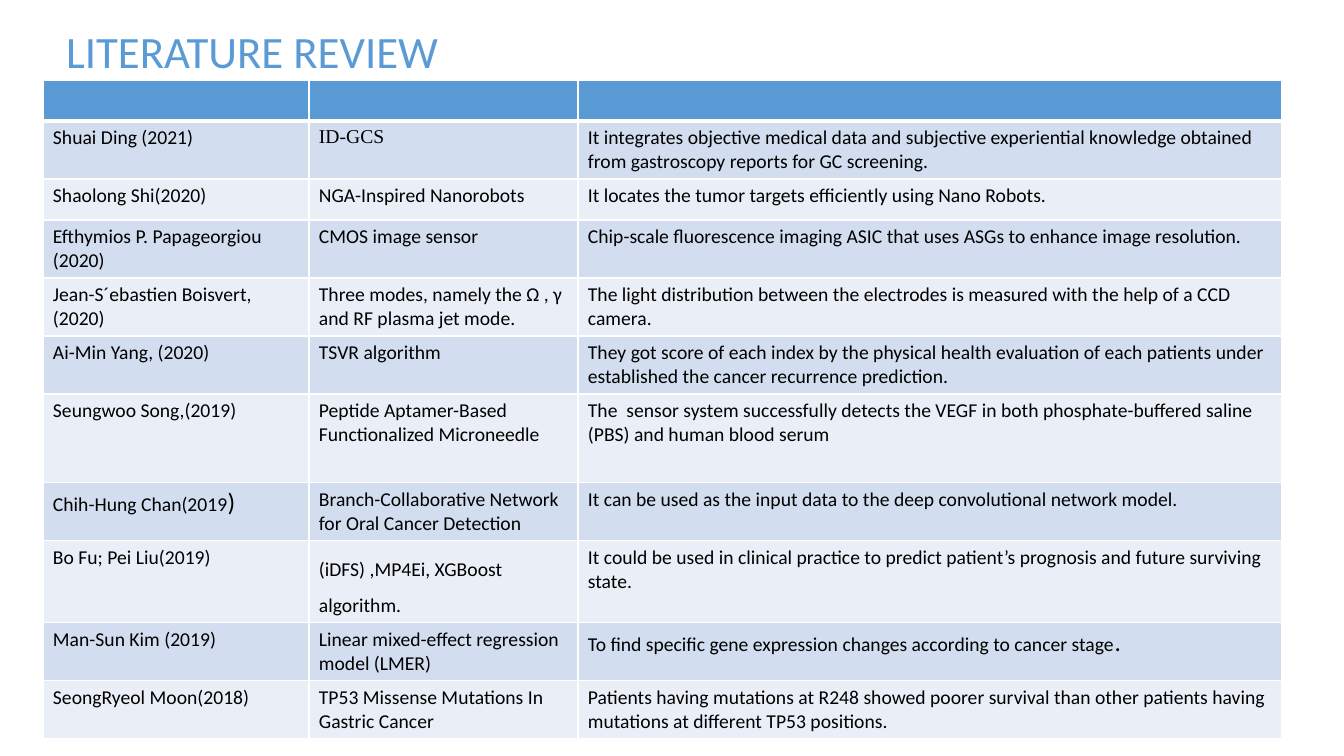
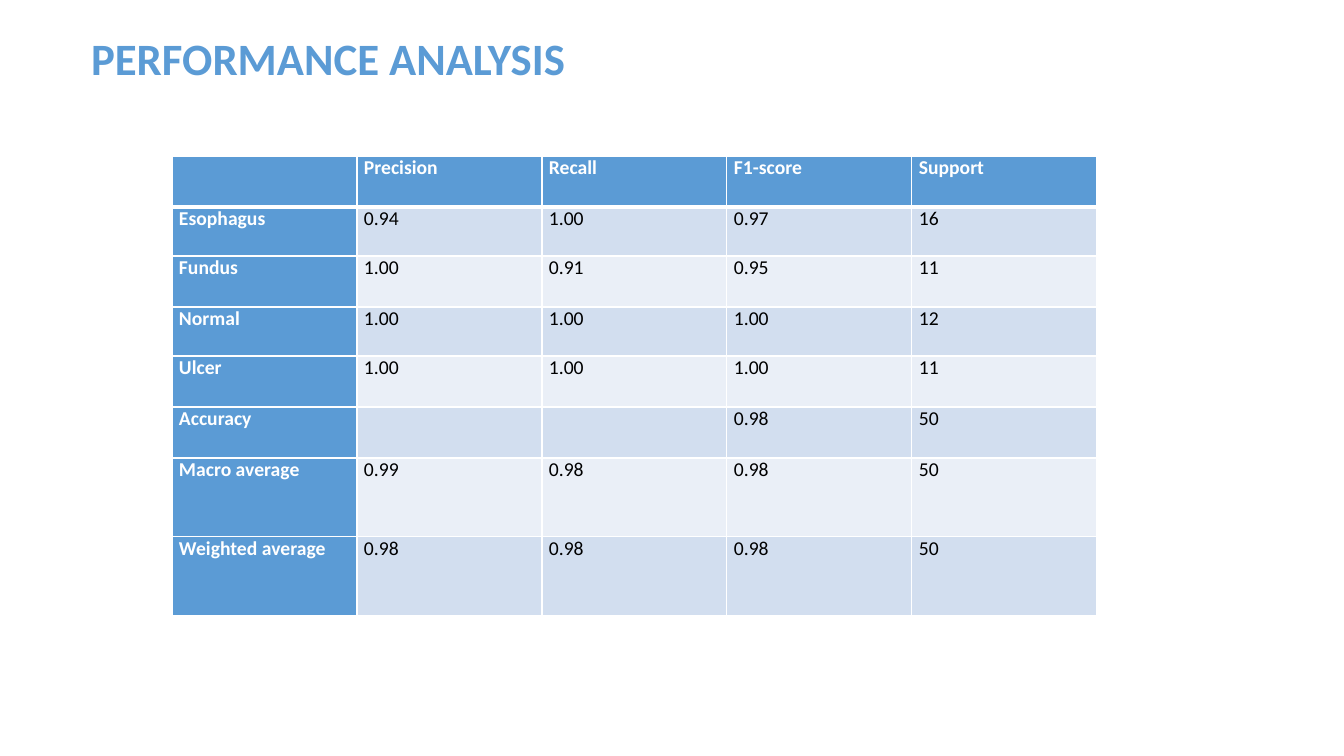
from dataclasses import dataclass

from lxml.etree import SubElement
from pptx import Presentation
from pptx.dml.color import RGBColor
from pptx.enum.text import MSO_ANCHOR, MSO_AUTO_SIZE, PP_ALIGN
from pptx.oxml.ns import qn
from pptx.util import Pt

PX = 914400 / 100.8


@dataclass(frozen=True)
class Theme:
    accent: str = "5B9BD5"
    bands: tuple = ("D2DEEF", "EAEFF7")
    ink: str = "000000"
    paper: str = "FFFFFF"
    font: str = "Calibri"
    serif: str = "Times New Roman"
    title_size: int = 32
    cell_size: int = 14
    mark_size: int = 18
    rule: int = 1
    header_rule: int = 3


THEME = Theme()
MARK = {"size": Pt(THEME.mark_size)}
SERIF = {"name": THEME.serif}

STUDIES = [
    ("", "", ""),
    ("Shuai Ding (2021)", [("ID-GCS", SERIF)],
     "It integrates objective medical data and subjective experiential knowledge obtained "
     "from gastroscopy reports for GC screening."),
    ("Shaolong Shi(2020)", "NGA-Inspired Nanorobots",
     "It locates the tumor targets efficiently using Nano Robots."),
    ("Efthymios P. Papageorgiou (2020)", "CMOS image sensor",
     "Chip-scale fluorescence imaging ASIC that uses ASGs to enhance image resolution."),
    ("Jean-S´ebastien Boisvert,(2020)",
     "Three modes, namely the Ω , γ and RF plasma jet mode.",
     "The light distribution between the electrodes is measured with the help of a CCD camera."),
    ("Ai-Min Yang, (2020)", "TSVR algorithm",
     "They got score of each index by the physical health evaluation of each patients under "
     "established the cancer recurrence prediction."),
    ("Seungwoo Song,(2019)", "Peptide Aptamer-Based Functionalized Microneedle",
     "The  sensor system successfully detects the VEGF in both phosphate-buffered saline "
     "(PBS) and human blood serum"),
    ([("Chih-Hung Chan(2019", {}), (")", MARK)],
     "Branch-Collaborative Network for Oral Cancer Detection",
     "It can be used as the input data to the deep convolutional network model."),
    ("Bo Fu; Pei Liu(2019)", "(iDFS) ,MP4Ei, XGBoost algorithm.",
     "It could be used in clinical practice to predict patient’s prognosis and future "
     "surviving state."),
    ("Man-Sun Kim (2019)", "Linear mixed-effect regression model (LMER)",
     [("To find specific gene expression changes according to cancer stage", {}), (".", MARK)]),
    ("SeongRyeol Moon(2018)", "TP53 Missense Mutations In Gastric Cancer",
     "Patients having mutations at R248 showed poorer survival than other patients having "
     "mutations at different TP53 positions."),
]

SCORES = [
    ("", "Precision", "Recall", "F1-score", "Support"),
    ("Esophagus", "0.94", "1.00", "0.97", "16"),
    ("Fundus", "1.00", "0.91", "0.95", "11"),
    ("Normal", "1.00", "1.00", "1.00", "12"),
    ("Ulcer", "1.00", "1.00", "1.00", "11"),
    ("Accuracy", "", "", "0.98", "50"),
    ("Macro average", "0.99", "0.98", "0.98", "50"),
    ("Weighted average", "0.98", "0.98", "0.98", "50"),
]

SLIDES = [
    {
        "title": "LITERATURE REVIEW", "title_box": (56, 19, 672, 65),
        "title_bold": False, "title_spacing": 1.0,
        "rows": STUDIES, "origin": (43, 80), "columns": (266, 269, 704),
        "heights": (41, 58, 41, 58, 58, 58, 89, 58, 82, 58, 58),
        "label_column": False, "margins": (10, 5), "spacing": {(8, 1): 1.5},
    },
    {
        "title": "PERFORMANCE ANALYSIS", "title_box": (81, 32, 1039, 82),
        "title_bold": True, "title_spacing": 0.9,
        "rows": SCORES, "origin": (172, 156), "columns": (185,) * 5,
        "heights": (51, 49, 51, 49, 51, 51, 79, 79),
        "label_column": True, "margins": (7, 0), "spacing": {},
    },
]


def px(length):
    return round(length * PX)


def assign(target, values):
    for attribute, value in values.items():
        setattr(target, attribute, value)


def write(paragraph, content, color, **font_format):
    pieces = [(content, {})] if isinstance(content, str) else content
    for words, changes in pieces:
        if words:
            run = paragraph.add_run()
            run.text = words
            assign(run.font, {"name": THEME.font, **font_format, **changes})
            run.font.color.rgb = RGBColor.from_string(color)


def draw_borders(cell, widths):
    properties = cell._tc.get_or_add_tcPr()
    for side, width in widths.items():
        border = SubElement(properties, qn(f"a:ln{side}"), w=str(Pt(width)))
        SubElement(SubElement(border, qn("a:solidFill")), qn("a:srgbClr"), val=THEME.paper)


def add_title(slide, content):
    title = slide.shapes.title
    assign(title, dict(zip(("left", "top", "width", "height"), map(px, content["title_box"]))))
    assign(title.text_frame, {
        "word_wrap": True,
        "auto_size": MSO_AUTO_SIZE.NONE,
        "vertical_anchor": MSO_ANCHOR.TOP,
    })
    heading = title.text_frame.paragraphs[0]
    assign(heading, {"alignment": PP_ALIGN.LEFT, "line_spacing": content["title_spacing"]})
    write(heading, content["title"], THEME.accent,
          size=Pt(THEME.title_size), bold=content["title_bold"])


def add_grid(slide, content):
    rows, columns, heights = content["rows"], content["columns"], content["heights"]
    frame = slide.shapes.add_table(
        len(rows), len(columns), *map(px, (*content["origin"], sum(columns), sum(heights))))
    grid = frame.table
    grid.first_col = content["label_column"]
    for column, width in zip(grid.columns, columns):
        column.width = px(width)
    for row, height in zip(grid.rows, heights):
        row.height = px(height)

    side, edge = map(px, content["margins"])
    for r, row in enumerate(rows):
        for c, entry in enumerate(row):
            cell = grid.cell(r, c)
            is_heading = r == 0 or (content["label_column"] and c == 0)
            assign(cell, {"margin_left": side, "margin_right": side,
                          "margin_top": edge, "margin_bottom": edge})
            draw_borders(cell, {
                "L": THEME.rule, "R": THEME.rule,
                "T": THEME.header_rule if r == 1 else THEME.rule,
                "B": THEME.header_rule if r == 0 else THEME.rule,
            })
            cell.fill.solid()
            cell.fill.fore_color.rgb = RGBColor.from_string(
                THEME.accent if is_heading else THEME.bands[(r - 1) % 2])
            paragraph = cell.text_frame.paragraphs[0]
            paragraph.line_spacing = content["spacing"].get((r, c), 1.0)
            write(paragraph, entry, THEME.paper if is_heading else THEME.ink,
                  size=Pt(THEME.cell_size), bold=is_heading)


def main():
    deck = Presentation()
    assign(deck, {"slide_width": px(1344), "slide_height": px(756)})
    for content in SLIDES:
        slide = deck.slides.add_slide(deck.slide_layouts.get_by_name("Title Only"))
        add_title(slide, content)
        add_grid(slide, content)
    deck.save("out.pptx")


if __name__ == "__main__":
    main()
